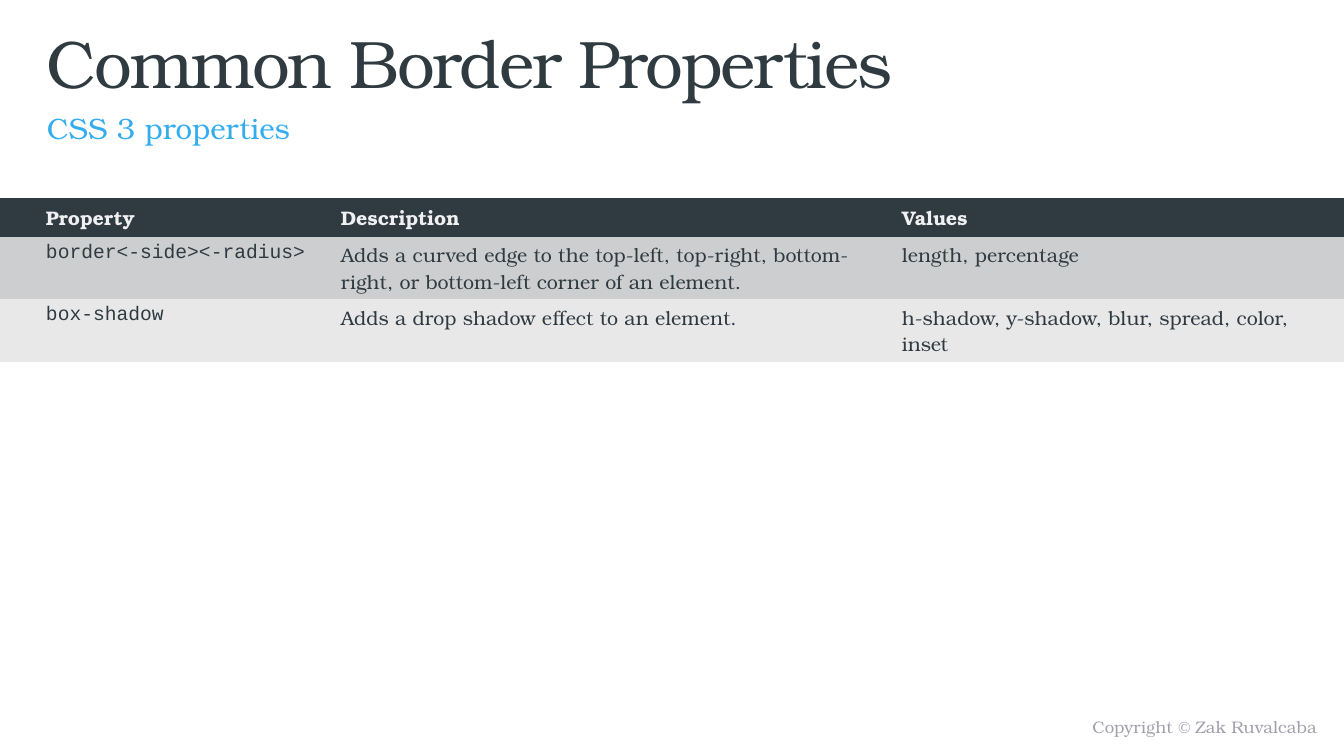
from dataclasses import dataclass
from typing import Optional

from lxml import etree
from pptx import Presentation
from pptx import util as u
from pptx.dml.color import RGBColor
from pptx.enum import text
from pptx.oxml import ns

EMU_PER_PIXEL = 914400 / 100.8
COLORS = {
    "slate": "303B41",
    "blue": "34ADEF",
    "pale": "F0F0F2",
    "gray": "A1A1AD",
    "band_dark": "CDCECF",
    "band_light": "E8E8E9",
}
SERIF, MONO, SYMBOL = "TeX Gyre Bonum", "Courier New", "Times New Roman"
PLAIN_TABLE = "{2D5ABB26-0587-4C30-8999-92F81FD0307C}"
INSET_X, INSET_Y, FIRST_INDENT = 10, 5, 36


@dataclass
class Row:
    height: int
    fill: str
    cells: tuple[str, str, str]
    header: bool = False


COLUMN_WIDTHS = (331, 561, 452)
ROWS = (
    Row(39, "slate", ("Property", "Description", "Values"), header=True),
    Row(62, "band_dark", (
        "border<-side><-radius>",
        "Adds a curved edge to the top-left, top-right, bottom-right, "
        "or bottom-left corner of an element.",
        "length, percentage")),
    Row(63, "band_light", (
        "box-shadow",
        "Adds a drop shadow effect to an element.",
        "h-shadow, y-shadow, blur, spread, color, inset")),
)


def px(pixels: int) -> u.Emu:
    return u.Emu(round(pixels * EMU_PER_PIXEL))


def add_span(para, words: str, *, size: int, color: str, font: str = SERIF,
             bold: bool = False, spacing: Optional[float] = None) -> None:
    span = para.add_run()
    span.text = words
    span.font.name = font
    span.font.size = u.Pt(size)
    span.font.bold = bold
    span.font.color.rgb = RGBColor.from_string(COLORS[color])
    if spacing is not None:
        span.font._element.set("spc", str(round(spacing * 100)))


def place(box, left: int, top: int, width: int, height: int, inset_y: int = 0):
    """Set the box's position and frame, and return its first paragraph."""
    box.left, box.top, box.width, box.height = map(px, (left, top, width, height))
    frame = box.text_frame
    frame.word_wrap = True
    frame.auto_size = text.MSO_AUTO_SIZE.NONE
    frame.vertical_anchor = text.MSO_ANCHOR.TOP
    frame.margin_left = frame.margin_right = px(INSET_X)
    frame.margin_top = frame.margin_bottom = px(inset_y)
    return frame.paragraphs[0]


def fill_cell(cell, words: str, row: Row, first: bool) -> None:
    cell.fill.solid()
    cell.fill.fore_color.rgb = RGBColor.from_string(COLORS[row.fill])
    cell.margin_left = px(INSET_X + FIRST_INDENT * first)
    cell.margin_right = px(INSET_X)
    cell.margin_top = cell.margin_bottom = px(INSET_Y)
    cell.vertical_anchor = text.MSO_ANCHOR.MIDDLE if row.header else text.MSO_ANCHOR.TOP
    add_span(cell.text_frame.paragraphs[0], words, size=14, bold=row.header,
             color="pale" if row.header else "slate",
             font=MONO if first and not row.header else SERIF)


deck = Presentation()
deck.slide_width, deck.slide_height = px(1344), px(756)
page = deck.slides.add_slide(deck.slide_layouts[1])

# Title
para = place(page.shapes.title, 37, 21, 1185, 80)
para.alignment = text.PP_ALIGN.LEFT
add_span(para, "Common Border Properties", size=48, color="slate", spacing=-1.5)

# Subtitle, without a bullet
para = place(page.placeholders[1], 37, 100, 1185, 39)
para.line_spacing = 1.3
para.space_before = u.Pt(0)
props = para._p.get_or_add_pPr()
props.set("marL", "0")
props.set("indent", "0")
etree.SubElement(props, ns.qn("a:buNone"))
add_span(para, "CSS 3 properties", size=21, color="blue")

# Property table
frame = page.shapes.add_table(len(ROWS), len(COLUMN_WIDTHS), 0, px(198),
                              px(sum(COLUMN_WIDTHS)), px(sum(row.height for row in ROWS)))
table = frame.table
table.horz_banding = False
table._tbl.tblPr.find(ns.qn("a:tableStyleId")).text = PLAIN_TABLE
for column, width in zip(table.columns, COLUMN_WIDTHS):
    column.width = px(width)
for r, row in enumerate(ROWS):
    table.rows[r].height = px(row.height)
    for c, words in enumerate(row.cells):
        fill_cell(table.cell(r, c), words, row, first=c == 0)

# Copyright line
box = page.shapes.add_textbox(0, 0, 0, 0)
para = place(box, 682, 712, 645, 31, inset_y=INSET_Y)
para.alignment = text.PP_ALIGN.RIGHT
for words, font in (("Copyright ", SERIF), ("© ", SYMBOL), ("Zak Ruvalcaba", SERIF)):
    add_span(para, words, size=12, color="gray", font=font)

deck.save("out.pptx")
